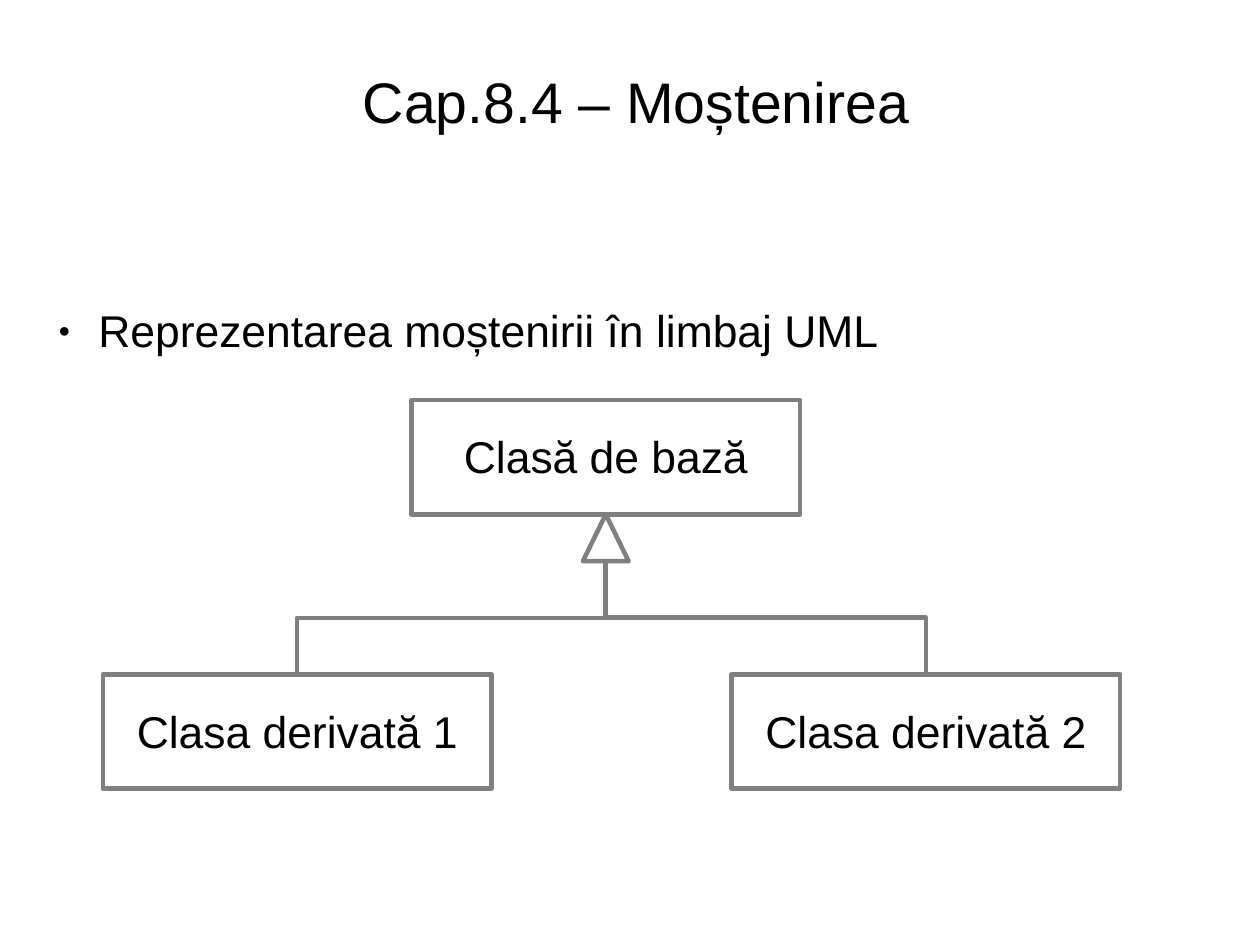
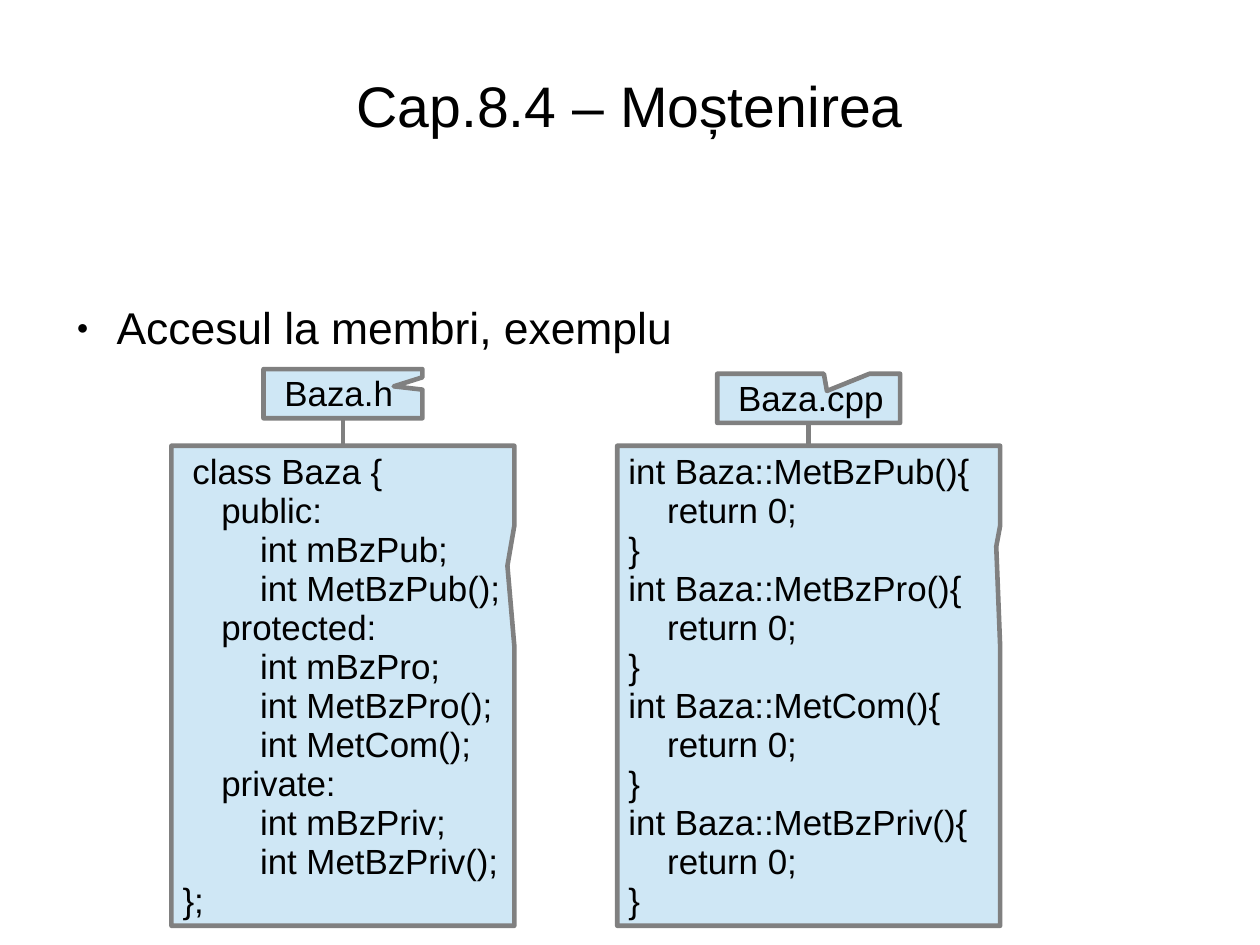
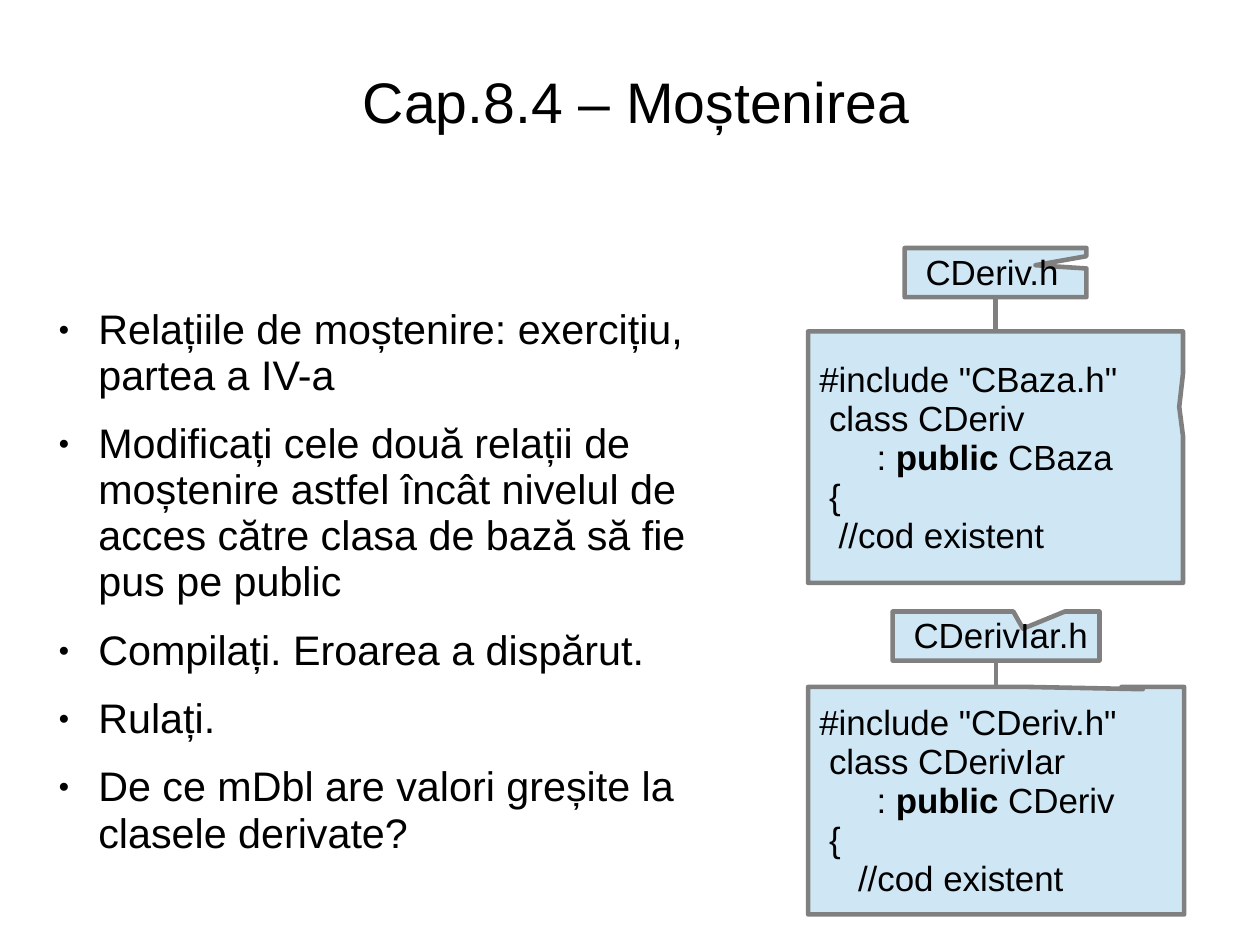
from dataclasses import dataclass

from lxml import etree
from pptx import Presentation
from pptx.dml.color import RGBColor
from pptx.enum.shapes import MSO_CONNECTOR, MSO_SHAPE
from pptx.enum.text import MSO_ANCHOR, PP_ALIGN
from pptx.oxml.ns import qn
from pptx.util import Cm, Inches, Pt

RECT = MSO_SHAPE.ROUNDED_RECTANGLE
NOTE = MSO_SHAPE.RECTANGULAR_CALLOUT
TRI = MSO_SHAPE.ISOSCELES_TRIANGLE
ELBOW, LINE = MSO_CONNECTOR.ELBOW, MSO_CONNECTOR.STRAIGHT
LEFT, MID = PP_ALIGN.LEFT, PP_ALIGN.CENTER
TOP, CENTER = MSO_ANCHOR.TOP, MSO_ANCHOR.MIDDLE


@dataclass(frozen=True)
class Theme:
    font: str = "Arial"
    ink: RGBColor = RGBColor(0x00, 0x00, 0x00)
    edge: RGBColor = RGBColor(0x80, 0x80, 0x80)
    paper: RGBColor = RGBColor(0xFF, 0xFF, 0xFF)
    sky: RGBColor = RGBColor(0xCF, 0xE7, 0xF5)
    title: int = 36
    body: int = 28
    small: int = 26
    code: int = 22
    stroke: float = 2.89
    lead: float = 0.93
    after: float = 14.1


T = Theme()
WIDE, TALL = Cm(28), Cm(21)
TITLE = "Cap.8.4 – Moștenirea"
HEAD = (0.36, 0.28, 10.41, 1.24)
PLAIN = (0, 0.03, 0, 0)
INNER = (0.1, 0.08, 0.1, 0.05)
CODE = (0.1, 0.07, 0, 0.05)

# Code shown on the slides; bars enclose bold words
BASE_H = """ class Baza {
    public:
        int mBzPub;
        int MetBzPub();
    protected:
        int mBzPro;
        int MetBzPro();
        int MetCom();
    private:
        int mBzPriv;
        int MetBzPriv();
};"""
BASE_CPP = "\n".join(f"int Baza::{name}(){{\n    return 0;\n}}"
                     for name in ("MetBzPub", "MetBzPro", "MetCom", "MetBzPriv"))
DERIV = """#include "CBaza.h"
 class CDeriv
\t: |public| CBaza
 {
  //cod existent"""
IAR = """#include "CDeriv.h"
 class CDerivIar
\t: |public| CDeriv
 {
    //cod existent"""


def cells(*spans):
    """Grid of one-inch columns and rows."""
    return [Inches(span) for span in spans]


def add(node, tag, **attrs):
    return etree.SubElement(node, qn(tag), attrs)


# Text
def bullet(para):
    props = para._p.get_or_add_pPr()
    props.set("marL", str(Inches(0.47)))
    props.set("indent", str(Inches(-0.35)))
    color = add(props, "a:buClr")
    add(color, "a:srgbClr", val=str(T.ink))
    add(props, "a:buSzPct", val="45000")
    add(props, "a:buFont", typeface=T.font)
    add(props, "a:buChar", char="●")
    para.space_after = Pt(T.after)


def tab(para):
    stops = add(para._p.get_or_add_pPr(), "a:tabLst")
    add(stops, "a:tab", pos=str(Inches(0.5)), algn="l")


def write(shape, lines, size, inset, anchor=CENTER, align=LEFT, mark=None):
    frame = shape.text_frame
    frame.word_wrap = True
    frame.vertical_anchor = anchor
    (frame.margin_left, frame.margin_top,
     frame.margin_right, frame.margin_bottom) = cells(*inset)
    for i, line in enumerate(lines):
        para = frame.add_paragraph() if i else frame.paragraphs[0]
        if mark:
            mark(para)
        para.alignment = align
        para.line_spacing = T.lead
        font = para.font
        font.name, font.size = T.font, Pt(size)
        font.color.rgb = T.ink
        for j, part in enumerate(line.split("|")):
            run = para.add_run()
            run.text = part
            if j % 2:
                run.font.bold = True


def title(slide, box=HEAD):
    write(slide.shapes.add_textbox(*cells(*box)), [TITLE], T.title, PLAIN,
          align=MID)


def points(slide, box, lines, size=T.body):
    write(slide.shapes.add_textbox(*cells(*box)), lines, size, PLAIN,
          anchor=TOP, mark=bullet)


# Shapes and lines
def stroke(item):
    item.line.color.rgb = T.edge
    item.line.width = Pt(T.stroke)
    add(item._element.spPr.find(qn("a:ln")), "a:round")


def shape(slide, kind, box, fill, *adjust):
    item = slide.shapes.add_shape(kind, *cells(*box))
    item.shadow.inherit = False
    item.fill.solid()
    item.fill.fore_color.rgb = fill
    stroke(item)
    for i, value in enumerate(adjust):
        item.adjustments[i] = value
    return item


def link(slide, kind, *ends):
    item = slide.shapes.add_connector(kind, *cells(*ends))
    stroke(item)
    add(item._element.spPr, "a:effectLst")
    return item


def rise(slide, x, y, to_x, to_y):
    """Elbow that leaves upwards, turns halfway and arrives upwards."""
    mid_x, mid_y = (x + to_x) / 2, (y + to_y) / 2
    run, half = (y - to_y) / 2, (x - to_x) / 2
    item = link(slide, ELBOW, mid_x - run, mid_y + half,
                mid_x + run, mid_y - half)
    item._element.spPr.find(qn("a:xfrm")).set("rot", str(270 * 60000))


def entity(slide, col, row, name):
    item = shape(slide, RECT, (col, row, 3.4, 1), T.paper, 0)
    write(item, [name], T.body, INNER, align=MID)


def listing(slide, box, text, tip, name, wide, gap, name_tip):
    """Code note with its file name centred above it."""
    col, row, width, _ = box
    tall = 0.43
    tag = (col + (width - wide) / 2, row - gap - tall, wide, tall)
    code = shape(slide, NOTE, box, T.sky, *tip)
    write(code, text.split("\n"), T.code, CODE, mark=tab)
    label = shape(slide, NOTE, tag, T.sky, *name_tip)
    write(label, [" " + name], T.code, CODE)
    mid = col + width / 2
    line = link(slide, LINE, mid, row - gap, mid, row)
    line.begin_connect(label, 2)
    line.end_connect(code, 0)


# Slides
def diagram(slide):
    title(slide)
    points(slide, (0.39, 2.66, 10.31, 0.54),
           ["Reprezentarea moștenirii în limbaj UML"])
    entity(slide, 3.6, 3.5, "Clasă de bază")
    shape(slide, TRI, (5.1, 4.5, 0.4, 0.41), T.paper)
    for i, col in enumerate((0.9, 6.4), 1):
        entity(slide, col, 5.9, f"Clasa derivată {i}")
        rise(slide, col + 1.7, 5.9, 5.3, 4.91)


def access(slide):
    title(slide, (0.39, 0.41, 10.24, 1.05))
    points(slide, (0.55, 2.64, 6.62, 0.5), ["Accesul la membri, exemplu"])
    listing(slide, (1.5, 3.9, 3, 4.2), BASE_H, (0.48, -0.25),
            "Baza.h", 1.39, 0.24, (0.32, -0.15))
    listing(slide, (5.4, 3.9, 3.35, 4.2), BASE_CPP, (0.49, -0.29),
            "Baza.cpp", 1.6, 0.2, (0.1, -0.15))


def task(slide):
    title(slide)
    points(slide, (0.39, 2.66, 6.11, 4.88), [
        "Relațiile de moștenire: exercițiu, partea a IV-a",
        "Modificați cele două relații de moștenire astfel încât nivelul de "
        "acces către clasa de bază să fie pus pe public",
        "Compilați. Eroarea a dispărut.",
        "Rulați.",
        "De ce mDbl are valori greșite la clasele derivate?",
    ], T.small)
    listing(slide, (7.07, 2.9, 3.28, 2.2), DERIV, (0.49, -0.2),
            "CDeriv.h", 1.59, 0.3, (0.22, -0.15))
    listing(slide, (7.07, 6.01, 3.29, 1.99), IAR, (0.39, -0.49),
            "CDerivIar.h", 1.81, 0.23, (0.13, -0.15))


def main():
    deck = Presentation()
    deck.slide_width, deck.slide_height = WIDE, TALL
    blank = deck.slide_layouts[6]
    for build in (diagram, access, task):
        build(deck.slides.add_slide(blank))
    deck.save("out.pptx")


if __name__ == "__main__":
    main()
